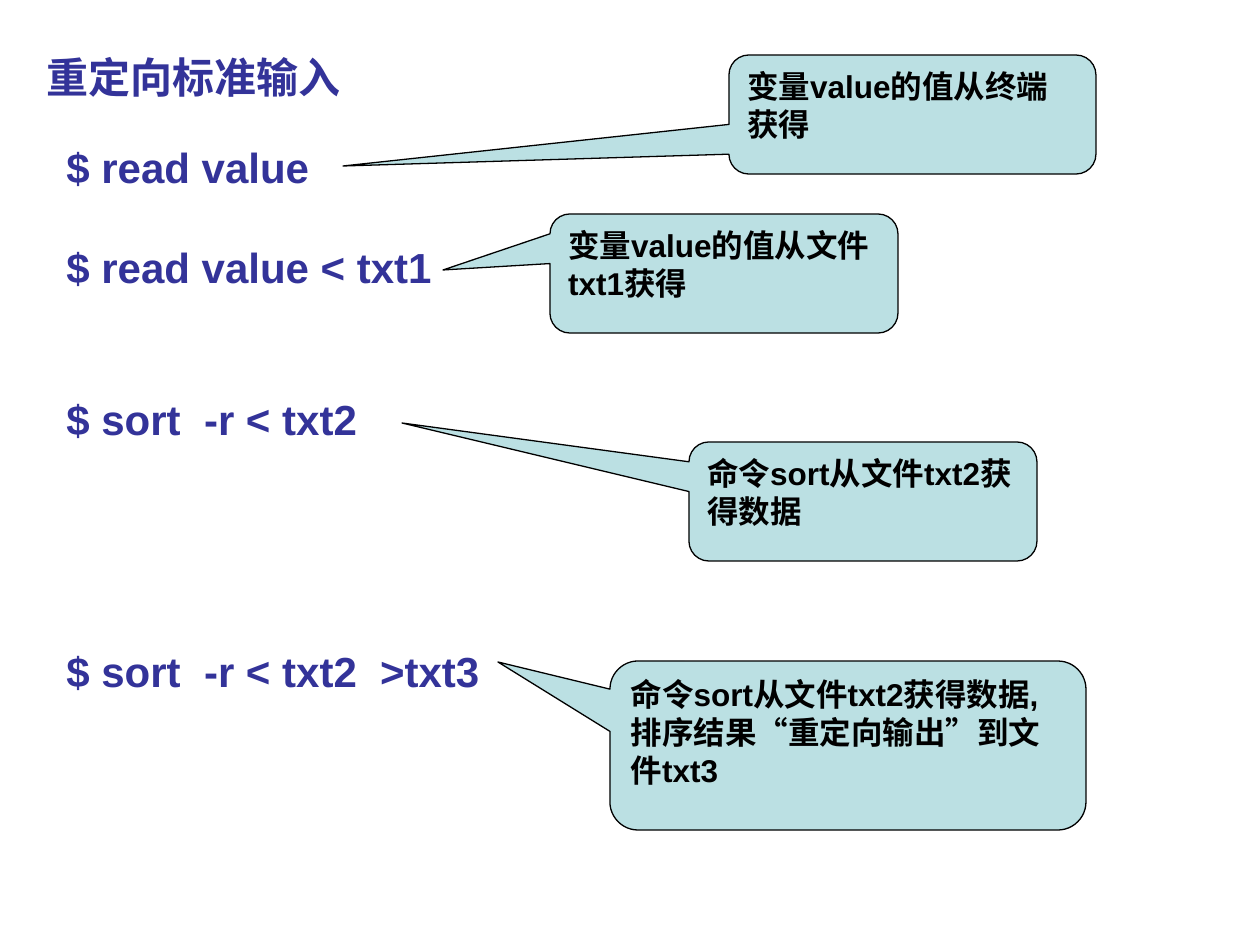
from typing import NamedTuple

from pptx import Presentation
from pptx.dml.color import RGBColor
from pptx.enum.lang import MSO_LANGUAGE_ID
from pptx.enum.shapes import MSO_SHAPE
from pptx.enum.text import MSO_ANCHOR, PP_ALIGN
from pptx.util import Emu, Pt

CALLOUT_SHAPE = MSO_SHAPE.ROUNDED_RECTANGULAR_CALLOUT
CHINESE = MSO_LANGUAGE_ID.SIMPLIFIED_CHINESE
TOP = MSO_ANCHOR.TOP
LEFT = PP_ALIGN.LEFT
EMU_PER_PX = 914400 / 126
FONT = "Arial"
HEADING_SIZE = 24
CALLOUT_SIZE = 18
LINE_PITCH = 28.8
COLORS = {"heading": "333399", "fill": "BBE0E3", "ink": "000000"}


class Box(NamedTuple):
    left: int
    top: int
    width: int
    height: int


class Command(NamedTuple):
    text: str
    lines_skipped: int


class Callout(NamedTuple):
    text: str
    box: Box
    tip_x: int
    tip_y: int


TITLE = "重定向标准输入"
TITLE_BOX = Box(34, 45, 456, 63)
COMMANDS_BOX = Box(54, 135, 476, 567)
COMMANDS = [
    Command("$ read value", 0),
    Command("$ read value < txt1", 1),
    Command("$ sort  -r < txt2", 2),
    Command("$ sort  -r < txt2  >txt3", 4),
]
CALLOUTS = [
    Callout("变量value的值从终端获得", Box(729, 55, 367, 119), 343, 166),
    Callout("变量value的值从文件txt1获得", Box(550, 214, 348, 119), 443, 270),
    Callout("命令sort从文件txt2获得数据", Box(689, 442, 348, 119), 402, 423),
    Callout(
        "命令sort从文件txt2获得数据,排序结果“重定向输出”到文件txt3",
        Box(610, 661, 476, 169), 498, 662,
    ),
]


def px(value: int) -> Emu:
    return Emu(round(value * EMU_PER_PX))


def scaled(box: Box) -> list[Emu]:
    return [px(value) for value in box]


def color(name: str) -> RGBColor:
    return RGBColor.from_string(COLORS[name])


def format_text(text_frame, size: int, color_name: str) -> None:
    text_frame.word_wrap = True
    text_frame.vertical_anchor = TOP
    for paragraph in text_frame.paragraphs:
        paragraph.alignment = LEFT
        for run in paragraph.runs:
            run.font.name = FONT
            run.font.size = Pt(size)
            run.font.bold = True
            run.font.color.rgb = color(color_name)
            run.font.language_id = CHINESE


def place_title(slide) -> None:
    title = slide.shapes.title
    title.left, title.top, title.width, title.height = scaled(TITLE_BOX)
    title.text_frame.text = TITLE
    format_text(title.text_frame, HEADING_SIZE, "heading")


def add_commands(slide, commands: list[Command]) -> None:
    text_frame = slide.shapes.add_textbox(*scaled(COMMANDS_BOX)).text_frame
    text_frame.text = "\n".join(command.text for command in commands)
    for paragraph, command in zip(text_frame.paragraphs, commands):
        paragraph.line_spacing = Pt(LINE_PITCH)
        if command.lines_skipped:
            paragraph.space_before = Pt(command.lines_skipped * LINE_PITCH)
    format_text(text_frame, HEADING_SIZE, "heading")


def add_callout(slide, callout: Callout) -> None:
    box = callout.box
    shape = slide.shapes.add_shape(CALLOUT_SHAPE, *scaled(box))
    shape.adjustments[0] = (callout.tip_x - box.left) / box.width - 0.5
    shape.adjustments[1] = (callout.tip_y - box.top) / box.height - 0.5
    shape.shadow.inherit = False
    shape.fill.solid()
    shape.fill.fore_color.rgb = color("fill")
    shape.line.color.rgb = color("ink")
    shape.line.width = Pt(0.75)
    shape.text_frame.text = callout.text
    format_text(shape.text_frame, CALLOUT_SIZE, "ink")


def main() -> None:
    presentation = Presentation()
    presentation.slide_width = px(1260)
    presentation.slide_height = px(945)
    slide = presentation.slides.add_slide(presentation.slide_layouts[5])
    place_title(slide)
    add_commands(slide, COMMANDS)
    for callout in CALLOUTS:
        add_callout(slide, callout)
    presentation.save("out.pptx")


if __name__ == "__main__":
    main()
